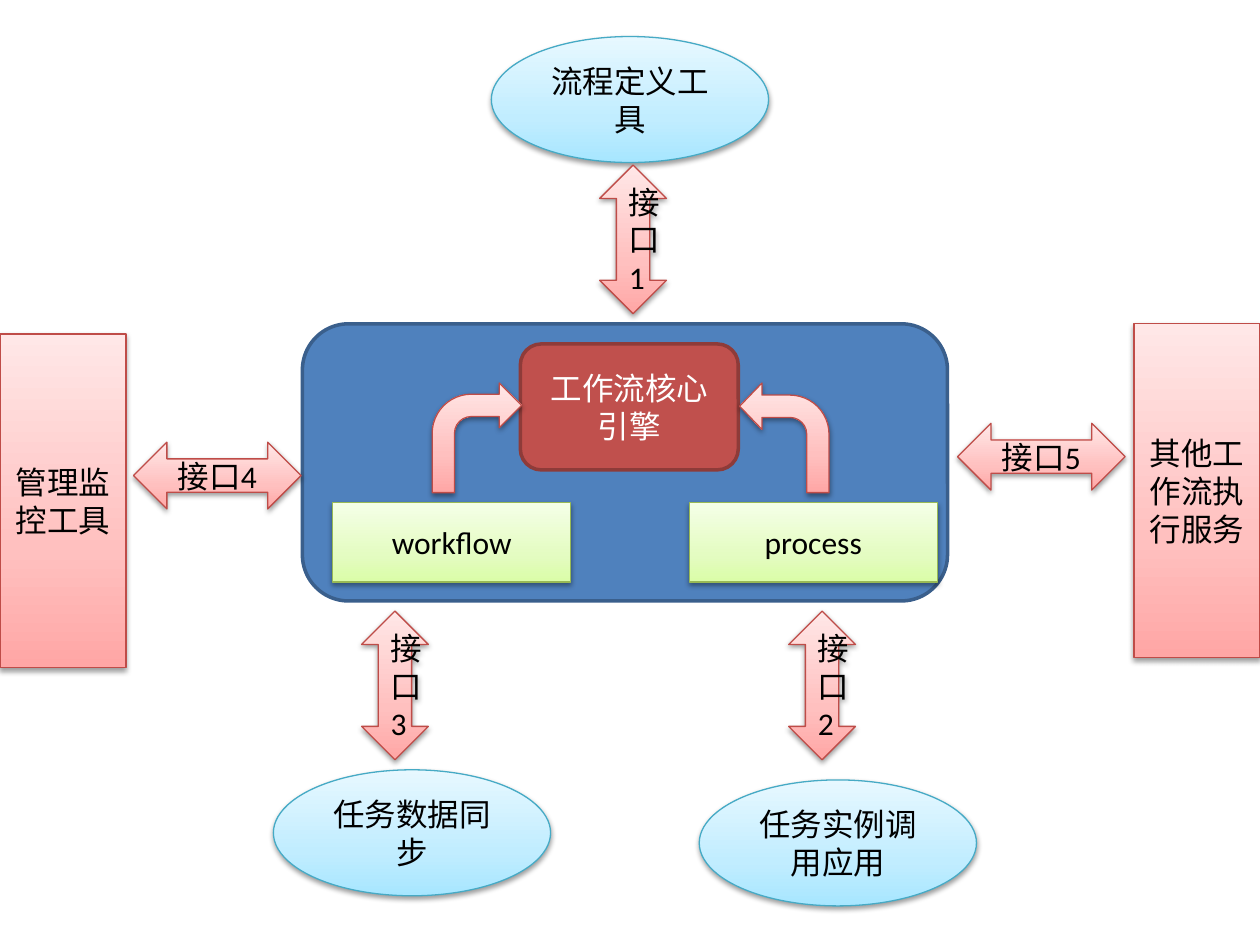
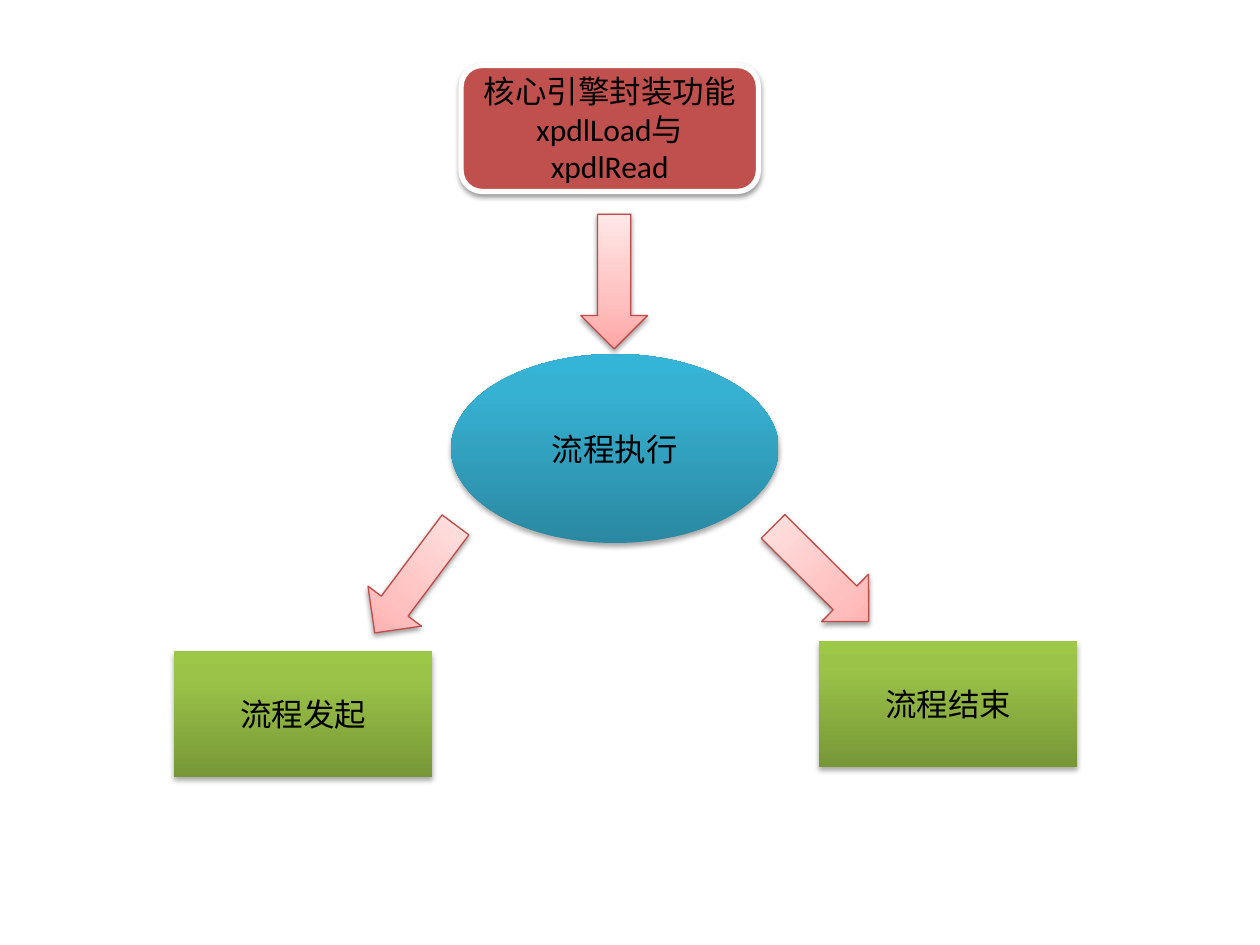
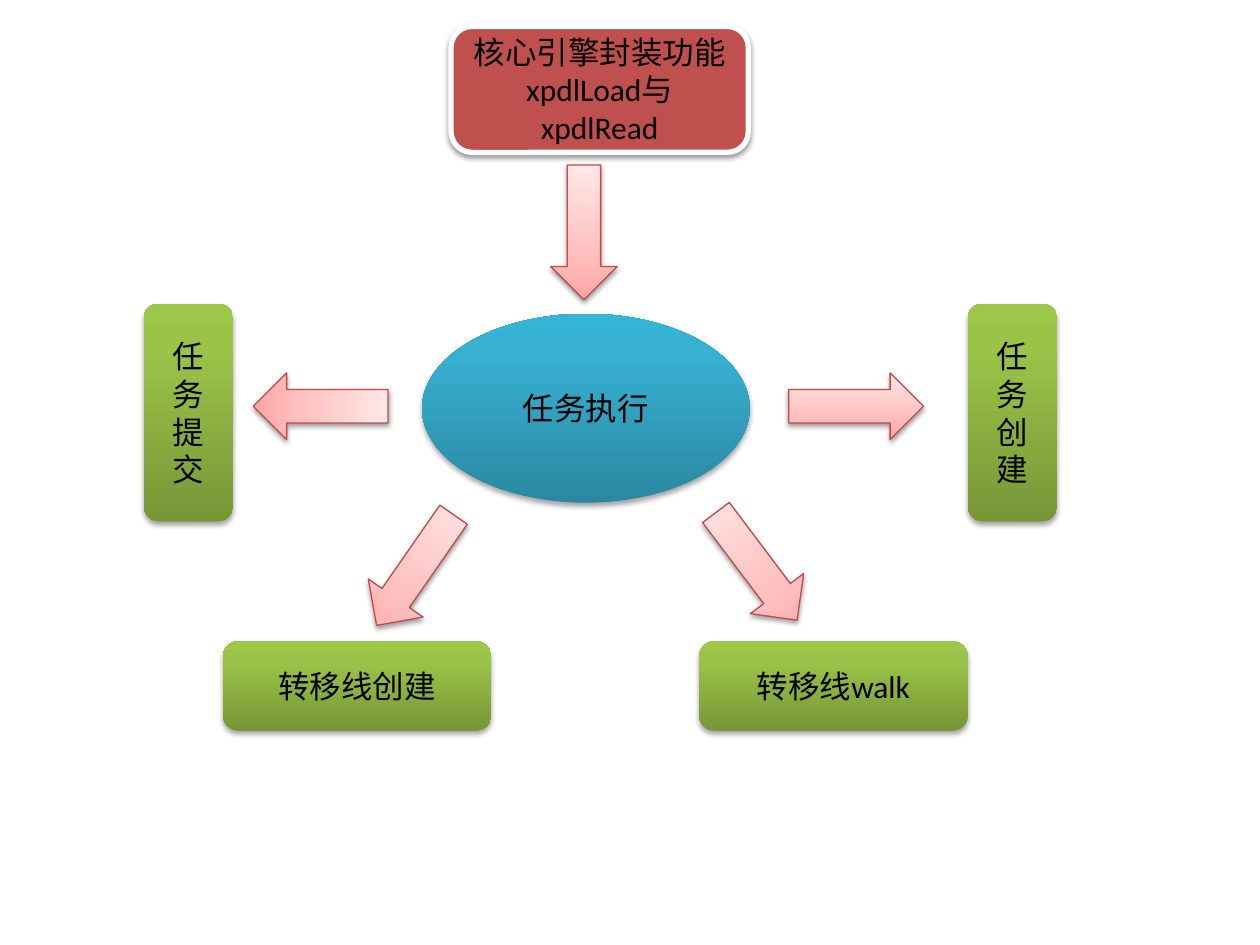
from lxml import etree
from pptx import Presentation
from pptx.dml.color import RGBColor
from pptx.enum.lang import MSO_LANGUAGE_ID
from pptx.enum.shapes import MSO_SHAPE
from pptx.enum.text import MSO_ANCHOR, PP_ALIGN
from pptx.oxml.ns import qn
from pptx.util import Inches, Pt

BOX, ROUNDED, ELLIPSE = MSO_SHAPE.RECTANGLE, MSO_SHAPE.ROUNDED_RECTANGLE, MSO_SHAPE.OVAL
VERTICAL, HORIZONTAL = MSO_SHAPE.UP_DOWN_ARROW, MSO_SHAPE.LEFT_RIGHT_ARROW
DOWN, RIGHT, BENT = MSO_SHAPE.DOWN_ARROW, MSO_SHAPE.RIGHT_ARROW, MSO_SHAPE.BENT_ARROW
CENTER, MIDDLE = PP_ALIGN.CENTER, MSO_ANCHOR.MIDDLE
CHINESE = MSO_LANGUAGE_ID.SIMPLIFIED_CHINESE

# Shadows: opacity %, blur pt, distance pt
SOFT, DEEP = (38, 3.1, 1.6), (35, 3.1, 1.8)

# Looks: a fill is one colour or gradient stops from bottom to top
LOOKS = {
    "frame": {"fill": "4F81BD", "line": ("3A5F8C", 2)},
    "engine": {"fill": "C0504D", "line": ("8E3B39", 2), "text": "FFFFFF"},
    "core": {"fill": "C0504D", "line": ("FFFFFF", 3), "shadow": SOFT},
    "pink": {"fill": [(0, "FFA6A5"), (35, "FFC0BF"), (100, "FFE7E7")],
             "line": ("BF4C48", 0.75), "shadow": SOFT},
    "pale green": {"fill": [(0, "DAFDA7"), (35, "E4FCC2"), (100, "F5FFE7")],
                   "line": ("98B955", 0.75), "shadow": SOFT},
    "pale blue": {"fill": [(0, "A7E6FF"), (35, "C1EDFF"), (100, "E7F8FF")],
                  "line": ("46AAC5", 0.75), "shadow": SOFT},
    "blue": {"fill": [(0, "2A88A2"), (80, "37B1D2"), (100, "34B4D6")], "shadow": DEEP},
    "green": {"fill": [(0, "779737"), (80, "9BC348"), (100, "9DC746")], "shadow": DEEP},
}

# Parts that recur: preset, look, width, height
PARTS = {
    "frame": (ROUNDED, "frame", 5.12, 2.2),
    "engine": (ROUNDED, "engine", 1.73, 1),
    "workflow": (BOX, "pale green", 1.89, 0.63),
    "process": (BOX, "pale green", 1.97, 0.63),
    "bent": (BENT, "pink", 0.71, 0.87),
    "tool": (ELLIPSE, "pale blue", 2.2, 1),
    "side": (BOX, "pink", 1, 2.65),
    "vertical": (VERTICAL, "pink", 0.53, 1.18),
    "horizontal": (HORIZONTAL, "pink", 1.33, 0.53),
    "core": (ROUNDED, "core", 2.36, 1),
    "action": (ELLIPSE, "blue", 2.6, 1.5),
    "stage": (BOX, "green", 2.05, 1),
    "tall task": (ROUNDED, "green", 0.71, 1.73),
    "wide task": (ROUNDED, "green", 2.13, 0.71),
    "down": (DOWN, "pink", 0.53, 1.07),
    "right": (RIGHT, "pink", 1.07, 0.53),
}

CORE_TEXT = "核心引擎封装功能xpdlLoad与xpdlRead"

# Slides: part, left, top, text, then any turn
SLIDES = [
    [
        ("frame", 2.4, 2.57, ""),
        ("engine", 4.13, 2.73, "工作流核心引擎"),
        ("workflow", 2.64, 3.99, "workflow"),
        ("process", 5.47, 3.99, "process"),
        ("bent", 3.43, 3.04, ""),
        ("bent", 5.87, 3.04, "", {"mirrored": True}),
        ("tool", 3.9, 0.29, "流程定义工具"),
        ("side", 0, 2.65, "管理监控工具"),
        ("side", 9, 2.57, "其他工作流执行服务"),
        ("vertical", 4.76, 1.31, "接口1"),
        ("tool", 2.17, 6.11, "任务数据同步"),
        ("vertical", 2.87, 4.85, "接口3"),
        ("horizontal", 1.06, 3.51, "接口4"),
        ("horizontal", 7.6, 3.36, "接口5"),
        ("tool", 5.55, 6.19, "任务实例调用应用"),
        ("vertical", 6.26, 4.85, "接口2"),
    ],
    [
        ("core", 3.66, 0.52, CORE_TEXT),
        ("action", 3.58, 2.81, "流程执行"),
        ("stage", 1.38, 5.17, "流程发起"),
        ("stage", 6.5, 5.09, "流程结束"),
        ("down", 4.61, 1.7, ""),
        ("down", 3.03, 4.06, "", {"rotation": 36.8}),
        ("down", 6.25, 4.02, "", {"rotation": 314.8}),
    ],
    [
        ("core", 3.58, 0.21, CORE_TEXT),
        ("action", 3.35, 2.49, "任务执行"),
        ("tall task", 1.14, 2.41, "任务提交"),
        ("tall task", 7.68, 2.41, "任务创建"),
        ("wide task", 1.77, 5.09, "转移线创建"),
        ("wide task", 5.55, 5.09, "转移线walk"),
        ("right", 6.26, 2.96, ""),
        ("down", 4.37, 1.31, ""),
        ("down", 3.03, 3.99, "", {"rotation": 34.8}),
        ("down", 5.74, 3.96, "", {"rotation": 323}),
        ("down", 2.28, 2.69, "", {"rotation": 90}),
    ],
]


def color(value):
    return RGBColor.from_string(value)


def add_xml(parent, tag, **attributes):
    child = etree.SubElement(parent, qn(tag))
    for name, value in attributes.items():
        child.set(name, str(value))
    return child


def paint(shape, fill, line=None, shadow=None):
    properties = shape.element.spPr
    if isinstance(fill, str):
        shape.fill.solid()
        shape.fill.fore_color.rgb = color(fill)
    else:
        shape.fill.gradient()
        shape.fill.gradient_angle = 90
        stops = properties.find(".//" + qn("a:gsLst"))
        for stop in list(stops):
            stops.remove(stop)
        for position, value in fill:
            stop = add_xml(stops, "a:gs", pos=position * 1000)
            add_xml(stop, "a:srgbClr", val=value)

    if line:
        shape.line.color.rgb = color(line[0])
        shape.line.width = Pt(line[1])
    else:
        shape.line.fill.background()

    shape.shadow.inherit = False
    if shadow:
        opacity, blur, distance = shadow
        outer = add_xml(properties.find(qn("a:effectLst")), "a:outerShdw",
                        blurRad=Pt(blur), dist=Pt(distance), dir=90 * 60000, rotWithShape=0)
        tint = add_xml(outer, "a:srgbClr", val="000000")
        add_xml(tint, "a:alpha", val=opacity * 1000)


def write(shape, text, text_color):
    frame = shape.text_frame
    frame.word_wrap = True
    frame.vertical_anchor = MIDDLE
    paragraph = frame.paragraphs[0]
    paragraph.alignment = CENTER
    run = paragraph.add_run()
    run.text = text
    style = {"name": "Calibri", "size": Pt(18), "language_id": CHINESE}
    for name, value in style.items():
        setattr(run.font, name, value)
    run.font.color.rgb = color(text_color)


def add_part(slide, part, left, top, text, turn=None):
    preset, look, width, height = PARTS[part]
    style = dict(LOOKS[look])
    text_color = style.pop("text", "000000")
    shape = slide.shapes.add_shape(preset, *map(Inches, (left, top, width, height)))
    paint(shape, **style)
    turn = turn or {}
    shape.rotation = turn.get("rotation", 0)
    if turn.get("mirrored"):
        shape.element.spPr.find(qn("a:xfrm")).set("flipH", "1")
        shape.adjustments[1] = 0.26
    if text:
        write(shape, text, text_color)


def main():
    deck = Presentation()
    deck.slide_width, deck.slide_height = Inches(10), Inches(7.5)
    for parts in SLIDES:
        slide = deck.slides.add_slide(deck.slide_layouts[6])
        for part in parts:
            add_part(slide, *part)
    deck.save("out.pptx")


if __name__ == "__main__":
    main()
